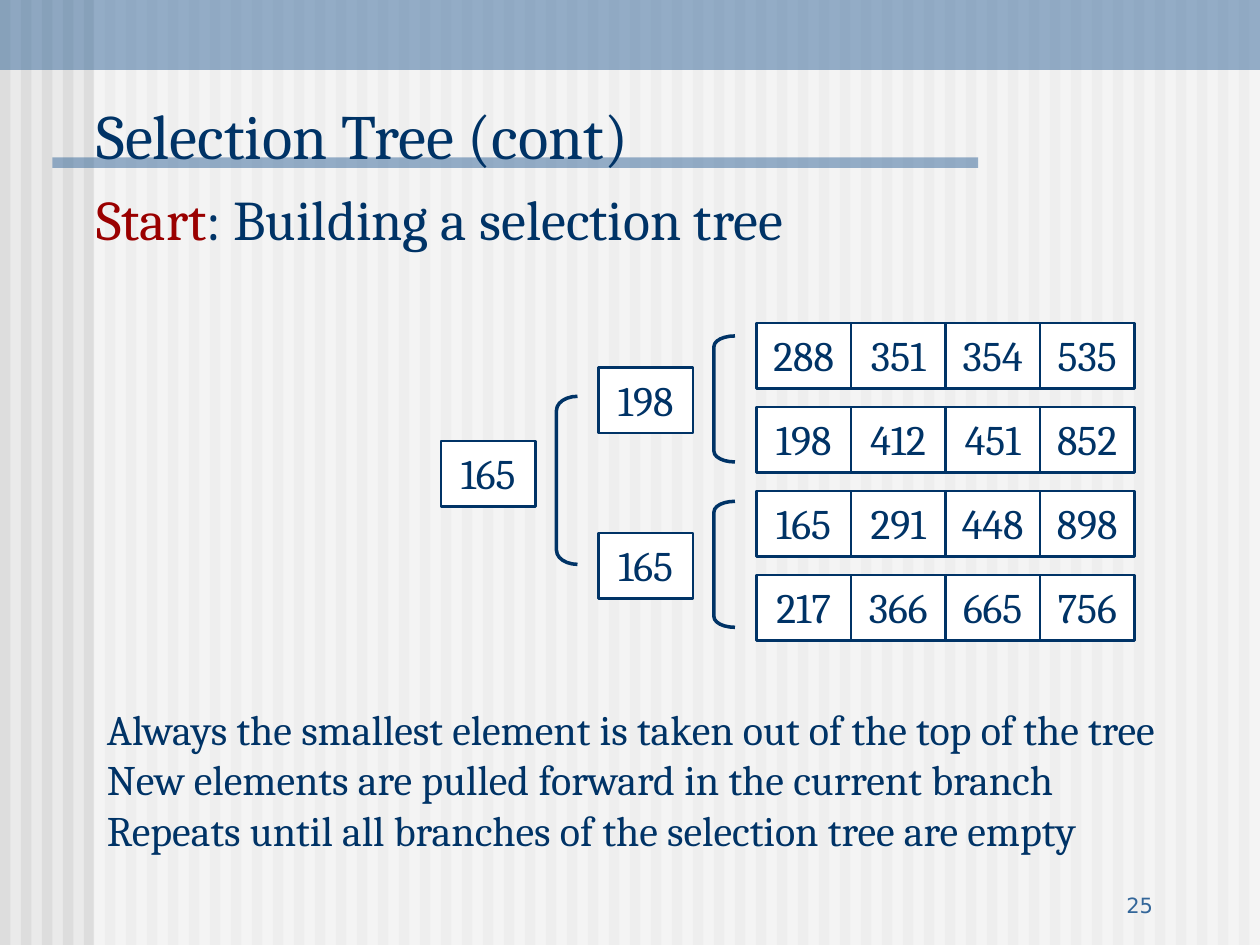
import pptx
import pptx.dml.color
import pptx.enum.shapes
import pptx.enum.text
import pptx.oxml
import pptx.oxml.ns
import pptx.util

Pt = pptx.util.Pt
SHAPE = pptx.enum.shapes.MSO_SHAPE
ALIGN = pptx.enum.text.PP_ALIGN
ANCHOR = pptx.enum.text.MSO_ANCHOR

NAVY, BLUE, RED = "003366", "336699", "9A0000"
WHITE, GREY, STRIPE = "FFFFFF", "EAEAEA", "DDDDDD"


def rgb(color):
    return pptx.dml.color.RGBColor.from_string(color)


class SlideBuilder:
    serif = "Cambria"
    sans = "DejaVu Sans"
    cell_width, cell_height = 54, 37.5

    def __init__(self, slide):
        self.slide = slide

    def background(self, color):
        fill = self.slide.background.fill
        fill.solid()
        fill.fore_color.rgb = rgb(color)

    def style(self, paragraph, size, color=NAVY, font=None, align=ALIGN.LEFT):
        paragraph.font.size = Pt(size)
        paragraph.font.name = font or self.serif
        paragraph.font.color.rgb = rgb(color)
        paragraph.alignment = align

    def shape(self, kind, left, top, width, height):
        shape = self.slide.shapes.add_shape(
            kind, Pt(left), Pt(top), Pt(width), Pt(height))
        shape.shadow.inherit = False
        return shape

    def band(self, left, top, width, height, color, opacity=100):
        band = self.shape(SHAPE.RECTANGLE, left, top, width, height)
        band.fill.solid()
        band.fill.fore_color.rgb = rgb(color)
        band.line.fill.background()
        if opacity < 100:
            srgb = band._element.spPr.find(".//" + pptx.oxml.ns.qn("a:srgbClr"))
            alpha = pptx.oxml.parse_xml(
                f'<a:alpha {pptx.oxml.ns.nsdecls("a")} val="{opacity * 1000}"/>')
            srgb.append(alpha)

    def title(self, text, left, top, width, height):
        title = self.slide.shapes.title
        title.left, title.top = Pt(left), Pt(top)
        title.width, title.height = Pt(width), Pt(height)
        title.text_frame.text = text
        title.text_frame.vertical_anchor = ANCHOR.BOTTOM
        self.style(title.text_frame.paragraphs[0], 36)
        # Bring the placeholder in front of the backdrop
        title._element.getparent().append(title._element)

    def text(self, lines, left, top, width, height, size,
             anchor=ANCHOR.TOP, **style):
        """Each line is a list of (text, color) runs; None keeps the color."""
        box = self.slide.shapes.add_textbox(
            Pt(left), Pt(top), Pt(width), Pt(height))
        frame = box.text_frame
        frame.word_wrap = True
        frame.vertical_anchor = anchor
        for i, runs in enumerate(lines):
            paragraph = frame.add_paragraph() if i else frame.paragraphs[0]
            self.style(paragraph, size, **style)
            for words, color in runs:
                run = paragraph.add_run()
                run.text = words
                if color:
                    run.font.color.rgb = rgb(color)

    def cell(self, value, left, top):
        cell = self.shape(SHAPE.RECTANGLE, left, top,
                          self.cell_width, self.cell_height)
        cell.fill.solid()
        cell.fill.fore_color.rgb = rgb(WHITE)
        cell.line.color.rgb = rgb(NAVY)
        cell.line.width = Pt(1.5)
        frame = cell.text_frame
        frame.text = str(value)
        frame.vertical_anchor = ANCHOR.MIDDLE
        frame.margin_top, frame.margin_bottom = Pt(3), Pt(4)
        self.style(frame.paragraphs[0], 24, align=ALIGN.CENTER)

    def bracket(self, left, top, height):
        width = 12
        bracket = self.shape(SHAPE.LEFT_BRACKET, left, top, width, height)
        bracket.adjustments[0] = height / width / 12
        bracket.fill.background()
        bracket.line.color.rgb = rgb(NAVY)
        bracket.line.width = Pt(2)


def main():
    deck = pptx.Presentation()
    deck.slide_width, deck.slide_height = Pt(720), Pt(540)
    builder = SlideBuilder(deck.slides.add_slide(deck.slide_layouts[5]))

    # Striped backdrop, veil, top band and title rule
    builder.background(GREY)
    for left in range(0, 720, 12):
        builder.band(left, 0, 6, 540, STRIPE)
    builder.band(53.5, 0, 666.5, 540, WHITE, opacity=50)
    builder.band(0, 0, 720, 40, BLUE, opacity=50)
    builder.band(30, 90, 529, 6, BLUE, opacity=50)

    # Page number, title and texts
    builder.text([[("25", None)]], 516, 492, 150, 36, 12, anchor=ANCHOR.BOTTOM,
                 color=BLUE, font=builder.sans, align=ALIGN.RIGHT)
    builder.title("Selection Tree (cont)", 48, 42, 672, 60)
    builder.text([[("Start", RED), (": Building a selection tree", None)]],
                 48, 102, 666, 60, 32)
    rules = ["Always the smallest element is taken out of the top of the tree",
             "New elements are pulled forward in the current branch",
             "Repeats until all branches of the selection tree are empty"]
    builder.text([[(rule, None)] for rule in rules], 54, 398.5, 672, 94, 24)

    # Sorted runs
    sorted_runs = [(288, 351, 354, 535), (198, 412, 451, 852),
                   (165, 291, 448, 898), (217, 366, 665, 756)]
    for row, values in enumerate(sorted_runs):
        for column, value in enumerate(values):
            builder.cell(value, 432.25 + column * builder.cell_width,
                         184.5 + row * 48)

    # Winner of each pair of runs, then the root, each with its bracket
    winners = [(198, 342, 210, 192, 72), (165, 342, 304.5, 286.5, 72),
               (165, 252, 252, 226.5, 96)]
    for value, left, top, bracket_top, bracket_height in winners:
        builder.cell(value, left, top)
        builder.bracket(left + 66, bracket_top, bracket_height)

    deck.save("out.pptx")


if __name__ == "__main__":
    main()
